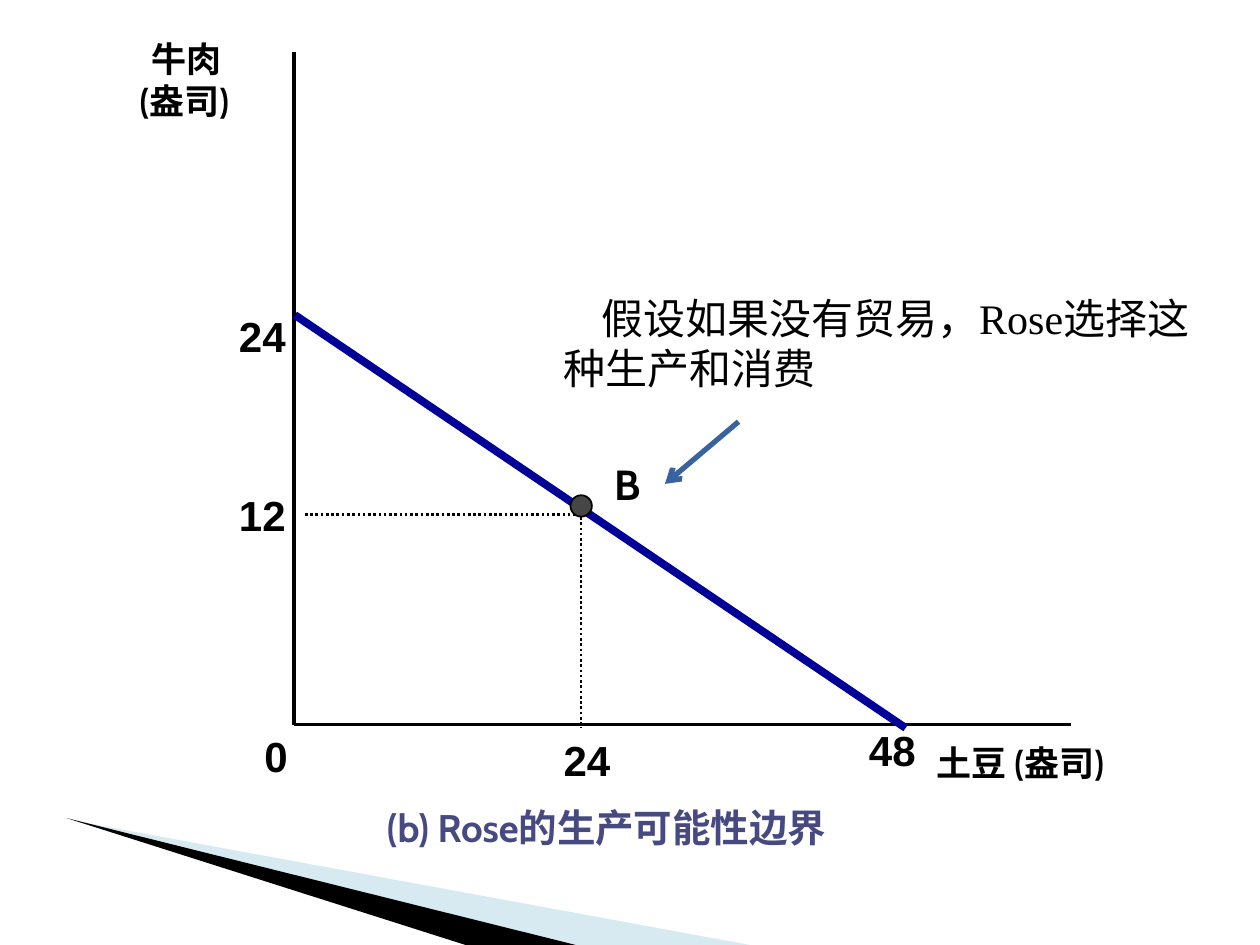
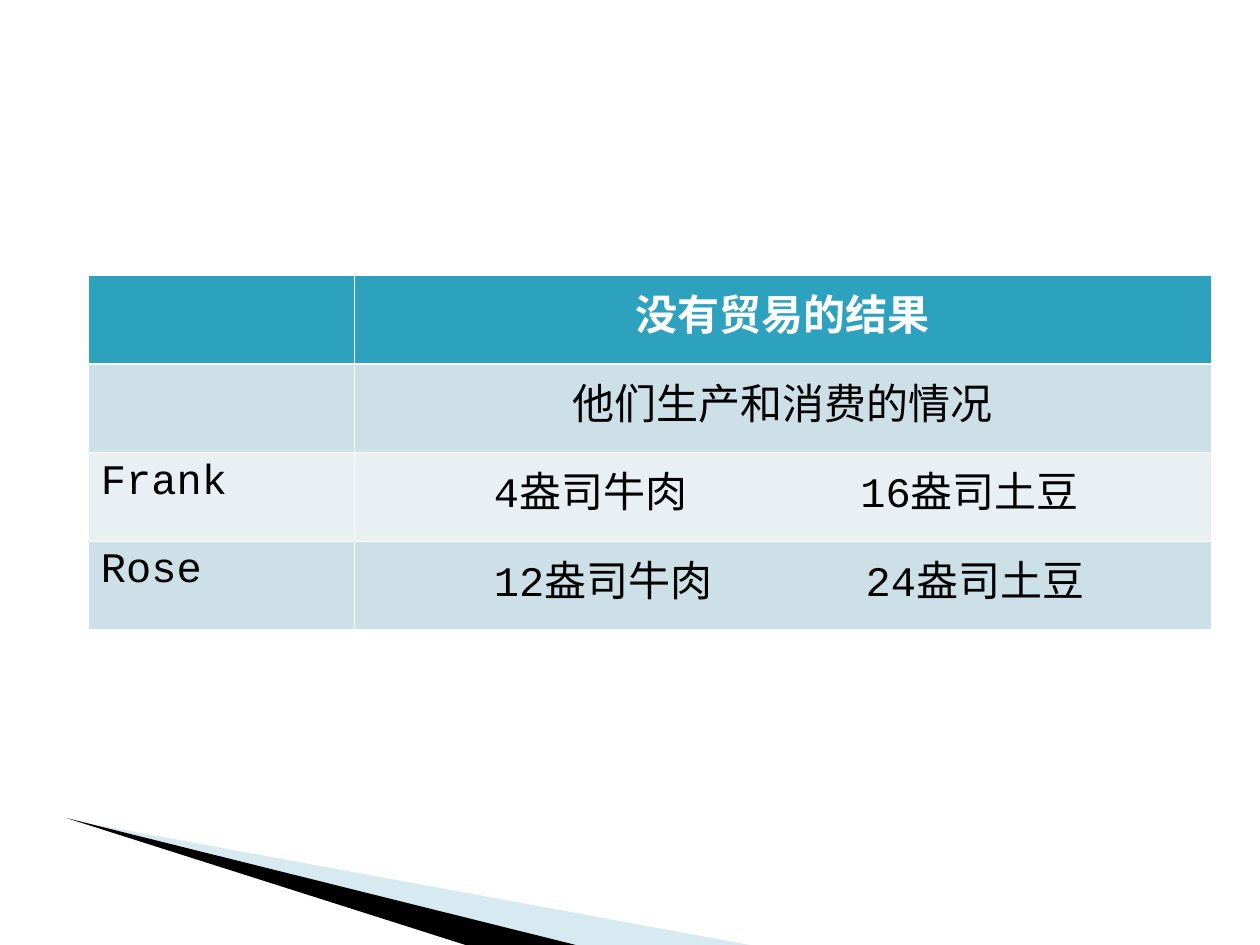
"""Build two slides: Rose's production possibility frontier and the no-trade outcome."""
from lxml import etree
from pptx import Presentation
from pptx import util as u
from pptx.dml.color import RGBColor
from pptx.enum import dml, lang, shapes, text
from pptx.oxml import ns

rgb = RGBColor.from_string
BLACK, WHITE = "000000", "FFFFFF"
LEFT, CENTER, RIGHT = text.PP_ALIGN.LEFT, text.PP_ALIGN.CENTER, text.PP_ALIGN.RIGHT


def write(para, words, size, font, color=BLACK, bold=False, align=LEFT):
    para.alignment = align
    span = para.add_run()
    span.text = words
    span.font.color.rgb = rgb(color)
    formats = {"size": u.Pt(size), "name": font, "bold": bold,
               "language_id": lang.MSO_LANGUAGE_ID.SIMPLIFIED_CHINESE}
    for name, value in formats.items():
        setattr(span.font, name, value)


def add_element(parent, tag, **attributes):
    return etree.SubElement(parent, ns.qn(tag), **attributes)


deck = Presentation()
deck.slide_width, deck.slide_height = u.Pt(720), u.Pt(540)
wedges = [
    ("9FCBDC", 40, [(39.5, 468.5), (428.5, 540), (328, 540)]),
    (BLACK, 100, [(38, 467.5), (329, 540), (266, 540)]),
]
pages = [deck.slides.add_slide(deck.slide_layouts[6]) for number in range(2)]
for page in pages:
    for color, opacity, corners in wedges:
        points = [(u.Pt(x), u.Pt(y)) for x, y in corners]
        builder = page.shapes.build_freeform(*points[0], scale=1.0)
        builder.add_line_segments(points[1:], close=True)
        wedge = builder.convert_to_shape()
        wedge.shadow.inherit = False
        wedge.fill.solid()
        wedge.fill.fore_color.rgb = rgb(color)
        wedge.line.fill.background()
        fill_color = wedge.fill._xPr.find(ns.qn("a:solidFill"))[0]
        add_element(fill_color, "a:alpha", val=str(opacity * 1000))

graph_page, table_page = pages

origin_x, origin_y = 168, 414
point_x, point_y = 332, 294
lines = [
    (origin_x, 30, origin_x, origin_y, BLACK, 2.25, None, False),
    (origin_x, origin_y, 612, origin_y, BLACK, 2.25, None, False),
    (168.5, 180, 517.5, 416, "000099", 4.5, None, False),
    (point_x, point_y, 173, point_y, BLACK, 1.5, "dot", False),
    (point_x, 292.5, point_x, 416, BLACK, 1.5, "dot", False),
    (422, 241, 380, 276.5, "39639D", 3, None, True),
]
for x1, y1, x2, y2, color, width, dash, arrow in lines:
    line = graph_page.shapes.add_connector(
        shapes.MSO_CONNECTOR.STRAIGHT, u.Pt(x1), u.Pt(y1), u.Pt(x2), u.Pt(y2))
    line.line.color.rgb = rgb(color)
    line.line.width = u.Pt(width)
    if dash:
        line.line.dash_style = dml.MSO_LINE.ROUND_DOT
    if arrow:
        add_element(line.line._ln, "a:tailEnd", type="arrow")
    add_element(line._element.spPr, "a:effectLst")

point = graph_page.shapes.add_shape(
    shapes.MSO_SHAPE.OVAL, u.Pt(326), u.Pt(283), u.Pt(12.25), u.Pt(12.25))
point.shadow.inherit = False
point.fill.solid()
point.fill.fore_color.rgb = rgb("464646")
point.line.color.rgb = rgb(BLACK)
point.line.width = u.Pt(1)

labels = [
    (528, 420, 210, 32, ["土豆 (盎司)"], 20, "Cabin", BLACK, True, LEFT),
    (18, 18, 120, 92, ["牛肉 ", "(盎司)"], 20, "Cabin", BLACK, True, RIGHT),
    (489.5, 410.5, 42, 36, ["48"], 24, "Arial", BLACK, True, LEFT),
    (129.5, 174, 42, 36, ["24"], 24, "Arial", BLACK, True, LEFT),
    (129.5, 276, 50, 36, ["12"], 24, "Arial", BLACK, True, LEFT),
    (315, 416, 72, 36, ["24"], 24, "Arial", BLACK, True, LEFT),
    (144, 414, 42, 36, ["0"], 24, "Arial", BLACK, True, LEFT),
    (344, 258.5, 36, 36, ["B"], 24, "Cabin", BLACK, True, LEFT),
    (214, 456, 348, 34, ["(b) Rose的生产可能性边界"], 22, "Cabin", "474A81", True, LEFT),
    (315, 163.5, 376.5, 65, ["假设如果没有贸易，Rose选择这种生产和消费"], 24,
     "Times New Roman", BLACK, False, LEFT),
]
for left, top, width, height, rows, *style in labels:
    box = graph_page.shapes.add_textbox(u.Pt(left), u.Pt(top), u.Pt(width), u.Pt(height))
    box.text_frame.word_wrap = True
    for index, words in enumerate(rows):
        para = box.text_frame.add_paragraph() if index else box.text_frame.paragraphs[0]
        write(para, words, *style)
note_format = para._p.get_or_add_pPr()
note_format.set("marL", "0")
note_format.set("indent", str(u.Pt(21.5)))

outcomes = [
    ("", "没有贸易的结果", "2DA2BF"),
    ("", "他们生产和消费的情况", "CDE0E8"),
    ("Frank", "\t4盎司牛肉\t16盎司土豆", "E8F0F4"),
    ("Rose", "\t12盎司牛肉\t24盎司土豆", "CDE0E8"),
]
row_height = 50.6
table = table_page.shapes.add_table(
    len(outcomes), 2, u.Pt(50.5), u.Pt(157.5), u.Pt(641.5), u.Pt(row_height * 4)).table
table.columns[0].width, table.columns[1].width = u.Pt(152), u.Pt(489.5)
for row, (person, result, color) in enumerate(outcomes):
    table.rows[row].height = u.Pt(row_height)
    for column, words in enumerate((person, result)):
        cell = table.cell(row, column)
        cell_format = cell._tc.get_or_add_tcPr()
        for side in "LRTB":
            heavy = (row, side) in [(0, "B"), (1, "T")]
            border = add_element(cell_format, f"a:ln{side}", w=str(u.Pt(1.47 if heavy else 0.45)))
            add_element(add_element(border, "a:solidFill"), "a:srgbClr", val=WHITE)
        cell.fill.solid()
        cell.fill.fore_color.rgb = rgb(color)
        if not words:
            continue
        para = cell.text_frame.paragraphs[0]
        if "\t" in words:
            stops = add_element(para._p.get_or_add_pPr(), "a:tabLst")
            for stop in (72.5, 282 if row == 2 else 285):
                add_element(stops, "a:tab", pos=str(u.Pt(stop)), algn="l")
        write(para, words, 24, "Courier New", BLACK if row else WHITE, row == 0,
              CENTER if row < 2 else LEFT)

deck.save("out.pptx")
